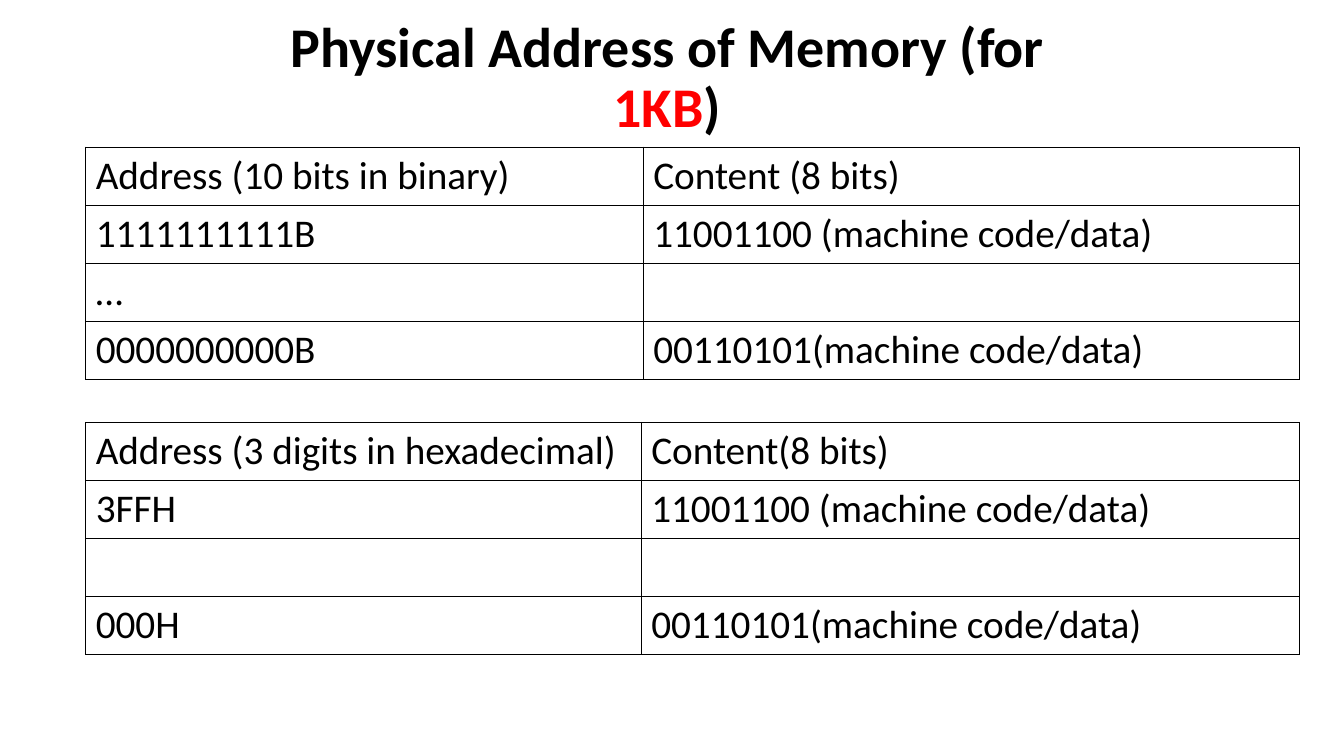
from lxml.etree import SubElement
from pptx import Presentation
from pptx.dml.color import RGBColor
from pptx.enum.text import MSO_ANCHOR, MSO_AUTO_SIZE, PP_ALIGN
from pptx.oxml.ns import qn
from pptx.util import Inches, Pt

BLACK = RGBColor(0, 0, 0)
RED = RGBColor(255, 0, 0)
FONT = "Calibri"
LEFT, WIDTH = 0.85, 12.04
TABLE_HEIGHT = 2.3


def add_text(para, text, size, color=BLACK, bold=False):
    span = para.add_run()
    span.text = text
    span.font.name = FONT
    span.font.size = Pt(size)
    span.font.bold = bold
    span.font.color.rgb = color


def add_borders(cell, width=Pt(1)):
    properties = cell._tc.get_or_add_tcPr()
    for side in ("a:lnL", "a:lnR", "a:lnT", "a:lnB"):
        line = SubElement(properties, qn(side), w=str(width))
        fill = SubElement(line, qn("a:solidFill"))
        SubElement(fill, qn("a:srgbClr"), val=str(BLACK))


deck = Presentation()
deck.slide_width, deck.slide_height = Inches(13.33), Inches(7.5)
page = deck.slides.add_slide(deck.slide_layouts[5])

# Title
title = page.shapes.title
title.left, title.top = Inches(2.37), Inches(0.37)
title.width, title.height = Inches(8.5), Inches(0.83)
frame = title.text_frame
frame.word_wrap = True
frame.auto_size = MSO_AUTO_SIZE.NONE
frame.vertical_anchor = MSO_ANCHOR.MIDDLE
heading = frame.paragraphs[0]
heading.alignment = PP_ALIGN.CENTER
heading.line_spacing = 0.9
for text, color in (("Physical Address of Memory (for ", BLACK), ("1KB", RED), (")", BLACK)):
    add_text(heading, text, 40, color, bold=True)

# Address tables: top, width of the address column, rows
address_tables = [
    (1.46, 5.53, [
        ("Address (10 bits in binary)", "Content (8 bits)"),
        ("1111111111B", "11001100 (machine code/data)"),
        ("…", ""),
        ("0000000000B", "00110101(machine code/data)"),
    ]),
    (4.19, 5.51, [
        ("Address (3 digits in hexadecimal)", "Content(8 bits)"),
        ("3FFH", "11001100 (machine code/data)"),
        ("", ""),
        ("000H", "00110101(machine code/data)"),
    ]),
]
for top, address_width, rows in address_tables:
    table = page.shapes.add_table(
        len(rows), 2, Inches(LEFT), Inches(top), Inches(WIDTH), Inches(TABLE_HEIGHT)
    ).table
    table.first_row = table.horz_banding = False
    table.columns[0].width = Inches(address_width)
    table.columns[1].width = Inches(WIDTH - address_width)
    for row, texts in zip(table.rows, rows):
        for cell, text in zip(row.cells, texts):
            add_borders(cell)
            cell.fill.background()
            if text:
                add_text(cell.text_frame.paragraphs[0], text, 28)

deck.save("out.pptx")
